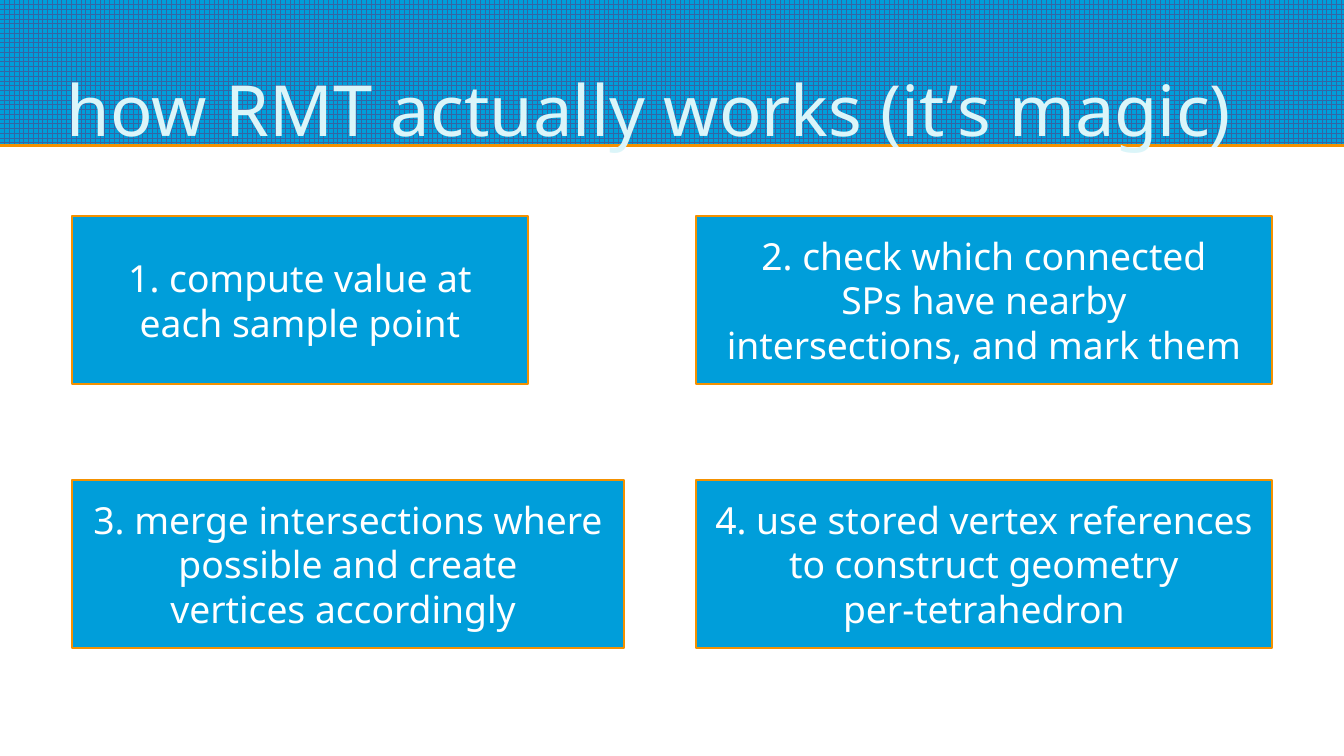
import pptx
import pptx.dml.color
import pptx.enum.dml
import pptx.enum.shapes
import pptx.enum.text
import pptx.util

PX = 914400 / 122
FONT = "Noto Sans"
BLUE, ORANGE, GRID, PALE, WHITE = "009EDA", "F49100", "3465A4", "DBF5F9", "FFFFFF"
WIDTH, HEIGHT = 1344, 756

COLUMNS, ROWS, STEP_HEIGHT = (72, 696), (216, 480), 168
STEPS = [
    (456, "1. compute value at\neach sample point"),
    (576, "2. check which connected\nSPs have nearby\nintersections, and mark them"),
    (552, "3. merge intersections where\npossible and create\nvertices accordingly "),
    (576, "4. use stored vertex references\nto construct geometry\nper-tetrahedron"),
]


def px(n):
    return pptx.util.Emu(round(n * PX))


def rgb(color):
    return pptx.dml.color.RGBColor.from_string(color)


def add_rect(slide, box, color):
    sp = slide.shapes.add_shape(
        pptx.enum.shapes.MSO_SHAPE.RECTANGLE, *map(px, box))
    sp.shadow.inherit = False
    sp.fill.solid()
    sp.fill.fore_color.rgb = rgb(color)
    sp.line.fill.background()
    return sp


def write(sp, text, size, color, align, anchor, inset):
    tf = sp.text_frame
    tf.margin_left = tf.margin_right = tf.margin_top = tf.margin_bottom = px(inset)
    tf.vertical_anchor = anchor
    p = tf.paragraphs[0]
    p.text = text
    p.alignment = align
    p.font.name = FONT
    p.font.size = pptx.util.Pt(size)
    p.font.color.rgb = rgb(color)
    return tf


def add_header(slide, box, title):
    x, y, w, h = box
    add_rect(slide, (x, y + 3, w, h), ORANGE)
    band = add_rect(slide, box, BLUE)
    band.fill.patterned()
    band.fill.pattern = pptx.enum.dml.MSO_PATTERN.LARGE_GRID
    band.fill.fore_color.rgb = rgb(GRID)
    band.fill.back_color.rgb = rgb(BLUE)

    sp = slide.shapes.add_textbox(px(x + 67), px(y + 12), px(w - 134), px(h - 5))
    tf = write(sp, title, 41.6, PALE, pptx.enum.text.PP_ALIGN.LEFT,
               pptx.enum.text.MSO_ANCHOR.BOTTOM, 0)
    tf.word_wrap = True


def add_step(slide, box, text):
    sp = add_rect(slide, box, BLUE)
    sp.line.color.rgb = rgb(ORANGE)
    sp.line.width = pptx.util.Pt(1.42)
    tf = write(sp, text, 22, WHITE, pptx.enum.text.PP_ALIGN.CENTER,
               pptx.enum.text.MSO_ANCHOR.MIDDLE, 5)
    tf.word_wrap = False


def main():
    prs = pptx.Presentation()
    prs.slide_width, prs.slide_height = px(WIDTH), px(HEIGHT)
    slide = prs.slides.add_slide(prs.slide_layouts[6])
    add_header(slide, (0, 0, WIDTH, 144), "how RMT actually works (it’s magic)")
    for i, (width, text) in enumerate(STEPS):
        row, column = divmod(i, len(COLUMNS))
        add_step(slide, (COLUMNS[column], ROWS[row], width, STEP_HEIGHT), text)
    prs.save("out.pptx")


if __name__ == "__main__":
    main()
